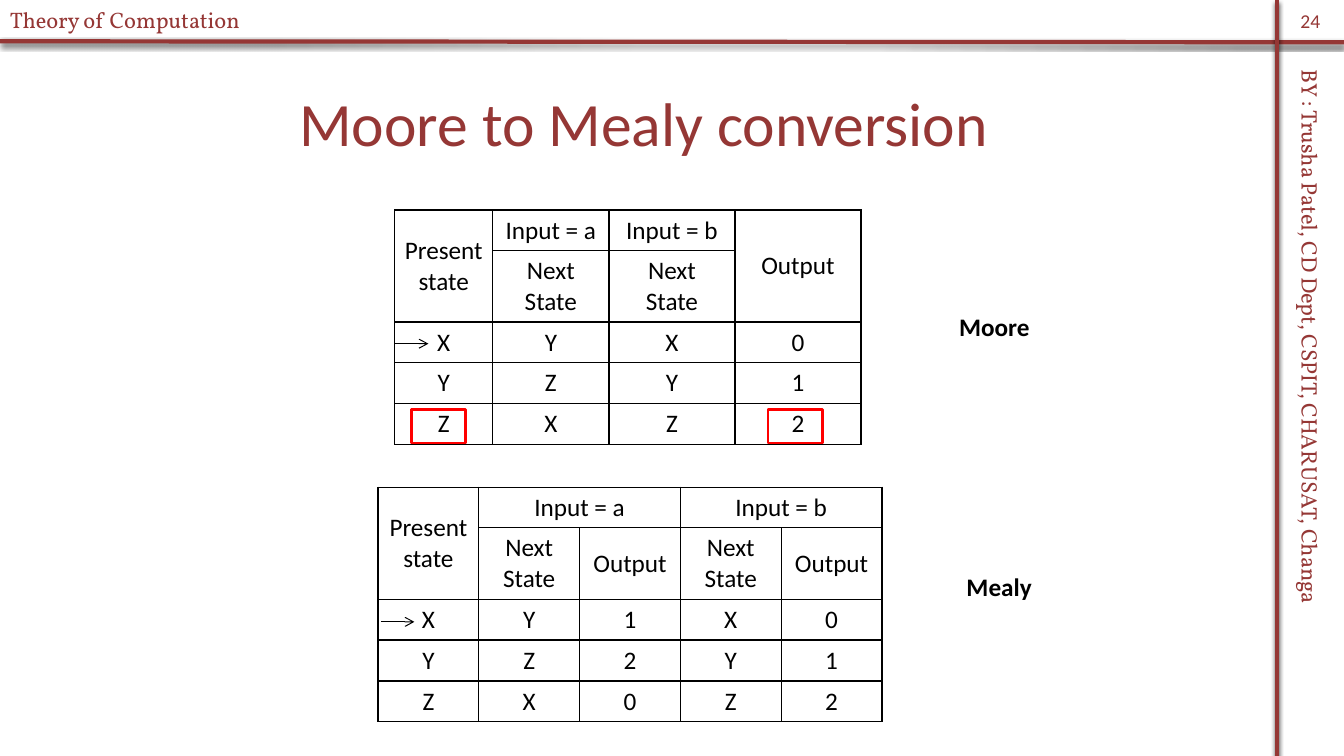
from lxml.etree import SubElement
from pptx import Presentation
from pptx.dml.color import RGBColor
from pptx.enum.shapes import MSO_CONNECTOR, MSO_SHAPE
from pptx.enum.text import MSO_ANCHOR, MSO_AUTO_SIZE, PP_ALIGN
from pptx.oxml.ns import qn
from pptx.util import Pt

MAROON = RGBColor(0x95, 0x37, 0x35)
BLACK = RGBColor(0, 0, 0)
RED = RGBColor(0xFF, 0, 0)

ROW_HEIGHTS = [29, 51, 29.2, 29.2, 29.2]
MOORE_ROWS = [
    ["Present state", "Input = a", "Input = b", "Output"],
    ["", "Next State", "Next\nState", ""],
    ["X", "Y", "X", "0"],
    ["Y", "Z", "Y", "1"],
    ["Z", "X", "Z", "2"],
]
MEALY_ROWS = [
    ["Present state", "Input = a", "", "Input = b", ""],
    ["", "Next State", "Output", "Next\nState", "Output"],
    ["X", "Y", "1", "X", "0"],
    ["Y", "Z", "2", "Y", "1"],
    ["Z", "X", "0", "Z", "2"],
]


class StateSlide:
    body = {"name": "Calibri", "size": Pt(18), "bold": False}
    border = Pt(1)

    def __init__(self, deck):
        self.shapes = deck.slides.add_slide(deck.slide_layouts[6]).shapes

    def set_text(self, frame, text, color, align, **changes):
        frame.text = text
        for paragraph in frame.paragraphs:
            paragraph.alignment = align
            for attribute, value in {**self.body, **changes}.items():
                setattr(paragraph.font, attribute, value)
            paragraph.font.color.rgb = color

    def centered(self, box, text, size):
        frame = self.shapes.add_textbox(*map(Pt, box)).text_frame
        frame.word_wrap = True
        frame.vertical_anchor = MSO_ANCHOR.MIDDLE
        self.set_text(frame, text, MAROON, PP_ALIGN.CENTER, size=Pt(size))

    def label(self, box, text, color, rotation=0, **changes):
        label = self.shapes.add_textbox(*map(Pt, box))
        label.rotation = rotation
        label.text_frame.word_wrap = False
        label.text_frame.auto_size = MSO_AUTO_SIZE.SHAPE_TO_FIT_TEXT
        self.set_text(label.text_frame, text, color, PP_ALIGN.LEFT, **changes)

    def line(self, start, end, color, width):
        line = self.shapes.add_connector(MSO_CONNECTOR.STRAIGHT, *map(Pt, start + end))
        line.line.color.rgb = color
        line.line.width = Pt(width)
        return line, SubElement(line._element.spPr, qn("a:effectLst"))

    def rule(self, start, end):
        effects = self.line(start, end, MAROON, 3)[1]
        shadow = SubElement(effects, qn("a:outerShdw"), blurRad=str(Pt(3.1)),
                            dist=str(Pt(1.8)), dir="5400000", rotWithShape="0")
        shade = SubElement(shadow, qn("a:srgbClr"), val=str(BLACK))
        SubElement(shade, qn("a:alpha"), val="70000")

    def start_arrow(self, left, top):
        arrow = self.line((left, top), (left + 24, top), BLACK, 0.75)[0]
        SubElement(arrow._element.spPr.find(qn("a:ln")), qn("a:tailEnd"), type="arrow")

    def highlight(self, left, top):
        frame = self.shapes.add_shape(MSO_SHAPE.RECTANGLE, Pt(left), Pt(top), Pt(39), Pt(24))
        frame.shadow.inherit = False
        frame.fill.background()
        frame.line.color.rgb = RED
        frame.line.width = Pt(2)

    def outline(self, cell):
        properties = cell._tc.get_or_add_tcPr()
        for side in ("lnL", "lnR", "lnT", "lnB"):
            edge = SubElement(properties, qn(f"a:{side}"), w=str(self.border))
            fill = SubElement(edge, qn("a:solidFill"))
            SubElement(fill, qn("a:srgbClr"), val=str(BLACK))
        cell.fill.background()

    def state_table(self, left, top, widths, rows, merges):
        table = self.shapes.add_table(len(rows), len(widths), Pt(left), Pt(top),
                                      Pt(sum(widths)), Pt(sum(ROW_HEIGHTS))).table
        table.first_row = table.horz_banding = False
        for column, width in zip(table.columns, widths):
            column.width = Pt(width)
        for row, height, texts in zip(table.rows, ROW_HEIGHTS, rows):
            row.height = Pt(height)
            for cell, text in zip(row.cells, texts):
                self.set_text(cell.text_frame, text, BLACK, PP_ALIGN.CENTER)
                cell.vertical_anchor = MSO_ANCHOR.MIDDLE
                self.outline(cell)
        for first, last in merges:
            table.cell(*first).merge(table.cell(*last))


def main():
    deck = Presentation()
    deck.slide_width, deck.slide_height = Pt(960), Pt(540)
    slide = StateSlide(deck)

    slide.rule((0, 29.5), (960, 30.2))
    slide.rule((912.2, 0), (912.2, 540))
    heading = {"name": "Vollkorn", "size": Pt(16)}
    slide.label((705, 260.6, 462, 26.6), "BY : Trusha Patel, CD Dept, CSPIT, CHARUSAT, Changa",
                MAROON, 90, **heading)
    slide.label((0, 0.7, 237, 26.6), "Theory of Computation", MAROON, **heading)
    slide.centered((16, 42, 888, 90), "Moore to Mealy conversion", 44)
    slide.centered((912, 0, 48, 29), "24", 14)

    slide.state_table(282, 150, [70, 83, 90, 90], MOORE_ROWS,
                      [((0, 0), (1, 0)), ((0, 3), (1, 3))])
    slide.state_table(270, 348, [72] * 5, MEALY_ROWS,
                      [((0, 0), (1, 0)), ((0, 1), (0, 2)), ((0, 3), (0, 4))])
    slide.label((678, 219, 65.5, 29), "Moore", BLACK, bold=True)
    slide.label((683.3, 404.6, 61, 29), "Mealy", BLACK, bold=True)

    for left in (293.8, 548.6):
        slide.highlight(left, 292.5)
    slide.start_arrow(282, 245.5)
    slide.start_arrow(272, 444.2)
    deck.save("out.pptx")


if __name__ == "__main__":
    main()
